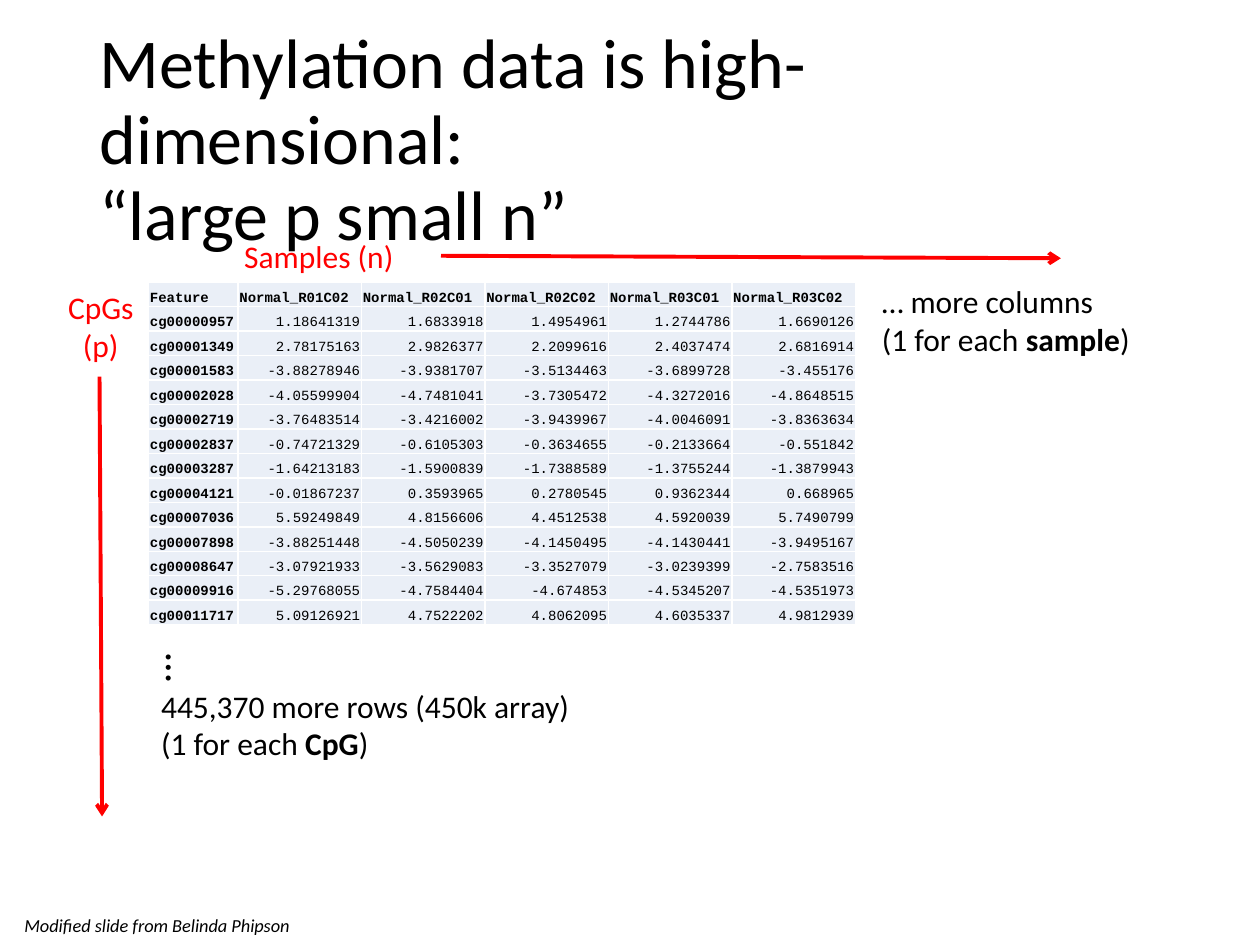
"""Build the slide on the high dimension of methylation data."""
import pptx
import pptx.dml.color
import pptx.enum.shapes
import pptx.enum.text
import pptx.oxml
import pptx.oxml.ns
import pptx.util
from pptx.util import Inches

ALIGN = pptx.enum.text.PP_ALIGN
ANCHOR = pptx.enum.text.MSO_ANCHOR
FIT = pptx.enum.text.MSO_AUTO_SIZE
NAMESPACE = pptx.oxml.ns.nsdecls("a")

BLACK, RED, WHITE, PALE_BLUE = "000000", "FF0000", "FFFFFF", "EAEFF7"

MEASUREMENTS = [
    ["Feature", "Normal_R01C02", "Normal_R02C01", "Normal_R02C02", "Normal_R03C01", "Normal_R03C02"],
    ["cg00000957", "1.18641319", "1.6833918", "1.4954961", "1.2744786", "1.6690126"],
    ["cg00001349", "2.78175163", "2.9826377", "2.2099616", "2.4037474", "2.6816914"],
    ["cg00001583", "-3.88278946", "-3.9381707", "-3.5134463", "-3.6899728", "-3.455176"],
    ["cg00002028", "-4.05599904", "-4.7481041", "-3.7305472", "-4.3272016", "-4.8648515"],
    ["cg00002719", "-3.76483514", "-3.4216002", "-3.9439967", "-4.0046091", "-3.8363634"],
    ["cg00002837", "-0.74721329", "-0.6105303", "-0.3634655", "-0.2133664", "-0.551842"],
    ["cg00003287", "-1.64213183", "-1.5900839", "-1.7388589", "-1.3755244", "-1.3879943"],
    ["cg00004121", "-0.01867237", "0.3593965", "0.2780545", "0.9362344", "0.668965"],
    ["cg00007036", "5.59249849", "4.8156606", "4.4512538", "4.5920039", "5.7490799"],
    ["cg00007898", "-3.88251448", "-4.5050239", "-4.1450495", "-4.1430441", "-3.9495167"],
    ["cg00008647", "-3.07921933", "-3.5629083", "-3.3527079", "-3.0239399", "-2.7583516"],
    ["cg00009916", "-5.29768055", "-4.7584404", "-4.674853", "-4.5345207", "-4.5351973"],
    ["cg00011717", "5.09126921", "4.7522202", "4.8062095", "4.6035337", "4.9812939"],
]


def colour(value):
    """Turn a hex string into a colour."""
    return pptx.dml.color.RGBColor.from_string(value)


class SlideBuilder:
    """Holds the text style and the current page."""

    font = "Calibri"
    table_font = "Courier New"

    def __init__(self, page):
        """Keep the page to draw on."""
        self.page = page

    def span(self, para, wording, size, ink=BLACK, bold=False, italic=False, font=None):
        """Add one styled run to a paragraph."""
        span = para.add_run()
        span.text = wording
        span.font.name = font or self.font
        span.font.size = pptx.util.Pt(size)
        span.font.bold = bold
        span.font.italic = italic
        span.font.color.rgb = colour(ink)

    def text(self, frame, paragraphs, size=18, ink=BLACK, align=ALIGN.LEFT, italic=False):
        """Add a text box from paragraphs of lines of (wording, bold) spans."""
        box = self.page.shapes.add_textbox(*map(Inches, frame))
        box.text_frame.word_wrap = True
        box.text_frame.auto_size = FIT.SHAPE_TO_FIT_TEXT
        for index, lines in enumerate(paragraphs):
            para = box.text_frame.add_paragraph() if index else box.text_frame.paragraphs[0]
            para.alignment = align
            for number, line in enumerate(lines):
                if number:
                    para.add_line_break()
                for wording, bold in line:
                    self.span(para, wording, size, ink, bold, italic)
        return box

    def title(self, frame, lines):
        """Add the heading, centred on the height of its frame."""
        box = self.text(frame, [[[(line, False)] for line in lines]], size=40)
        box.text_frame.auto_size = FIT.NONE
        box.text_frame.vertical_anchor = ANCHOR.MIDDLE
        box.text_frame.paragraphs[0].line_spacing = 0.9

    def cell(self, cell, wording, heading, align):
        """Fill and style one table cell."""
        cell.fill.solid()
        cell.fill.fore_color.rgb = colour(PALE_BLUE)
        cell.vertical_anchor = ANCHOR.BOTTOM
        cell.margin_left = cell.margin_right = cell.margin_top = Inches(0.01)
        cell.margin_bottom = 0
        para = cell.text_frame.paragraphs[0]
        para.alignment = align
        self.span(para, wording, 8, bold=heading, font=self.table_font)
        properties = cell._tc.get_or_add_tcPr()
        for index, side in enumerate(("lnL", "lnR", "lnT", "lnB")):
            border = pptx.oxml.parse_xml(
                f'<a:{side} {NAMESPACE} w="12700"><a:solidFill>'
                f'<a:srgbClr val="{WHITE}"/></a:solidFill></a:{side}>'
            )
            properties.insert(index, border)

    def table(self, frame, rows, widths):
        """Add a table with bold first row and first column."""
        shape = self.page.shapes.add_table(len(rows), len(widths), *map(Inches, frame))
        table = shape.table
        table.horz_banding = False
        for column, width in zip(table.columns, widths):
            column.width = Inches(width)
        for r, row in enumerate(rows):
            table.rows[r].height = Inches(frame[3] / len(rows))
            for c, wording in enumerate(row):
                heading = r == 0 or c == 0
                align = ALIGN.LEFT if heading else ALIGN.RIGHT
                self.cell(table.cell(r, c), wording, heading, align)

    def arrow(self, start, end):
        """Add a red arrow."""
        arrow = self.page.shapes.add_connector(
            pptx.enum.shapes.MSO_CONNECTOR.STRAIGHT, *map(Inches, (*start, *end))
        )
        arrow.line.color.rgb = colour(RED)
        arrow.line.width = pptx.util.Pt(2.25)
        arrow.line._get_or_add_ln().append(
            pptx.oxml.parse_xml(f'<a:tailEnd {NAMESPACE} type="arrow"/>')
        )
        arrow._element.spPr.append(pptx.oxml.parse_xml(f"<a:effectLst {NAMESPACE}/>"))


def main():
    """Build and save the deck."""
    deck = pptx.Presentation()
    deck.slide_width, deck.slide_height = Inches(10), Inches(7.5)
    builder = SlideBuilder(deck.slides.add_slide(deck.slide_layouts[6]))

    builder.title(
        (0.69, 0.4, 8.62, 1.45),
        ["Methylation data is high-dimensional: ", "“large p small n”"],
    )
    builder.table((1.18, 2.24, 5.6, 2.72), MEASUREMENTS, [0.71] + [0.98] * 5)

    for frame, line, unit in (
        ((6.9, 2.19, 2.24, 0.71), "… more columns ", "sample"),
        ((1.18, 5.4, 3.48, 0.71), "445,370 more rows (450k array)", "CpG"),
    ):
        second = [("(1 for each ", False), (unit, True), (")", False)]
        builder.text(frame, [[[(line, False)], second]])

    dots = builder.text((1.26, 5.03, 0.38, 0.5), [[[("…", False)]]], size=24)
    dots.rotation = 90
    builder.text(
        (-0.27, 7.21, 2.67, 0.29),
        [[[("Modified slide from Belinda Phipson", False)]]],
        size=10.5, align=ALIGN.RIGHT, italic=True,
    )
    builder.text((1.84, 1.83, 1.66, 0.4), [[[("Samples (n)", False)]]], ink=RED)
    builder.text(
        (0.25, 2.24, 1.1, 1.01),
        [[[("CpGs", False)]], [[("(p)", False)]]],
        ink=RED, align=ALIGN.CENTER,
    )
    builder.arrow((3.5, 2.03), (8.42, 2.05))
    builder.arrow((0.79, 2.99), (0.81, 6.48))
    deck.save("out.pptx")


if __name__ == "__main__":
    main()
